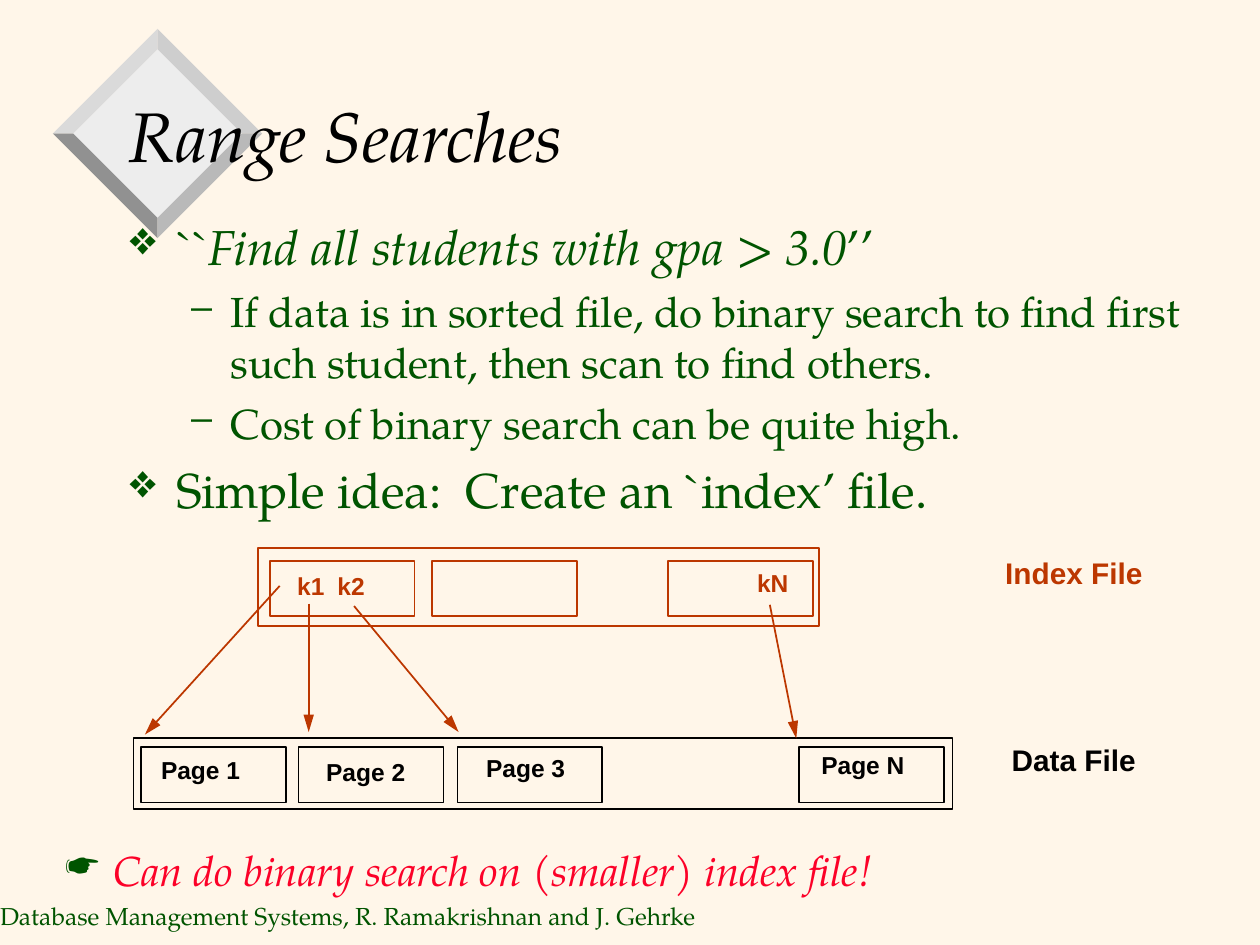
from dataclasses import dataclass

from lxml import etree
from pptx import Presentation
from pptx.dml.color import RGBColor
from pptx.enum.shapes import MSO_CONNECTOR, MSO_SHAPE
from pptx.enum.text import MSO_ANCHOR, PP_ALIGN
from pptx.oxml.ns import qn
from pptx.util import Inches, Pt

LEFT = PP_ALIGN.LEFT
MIDDLE = MSO_ANCHOR.MIDDLE
RECT = MSO_SHAPE.RECTANGLE
STRAIGHT = MSO_CONNECTOR.STRAIGHT


@dataclass(frozen=True)
class Theme:
    back: str = "FFF6E9"
    green: str = "005400"
    rust: str = "BC3700"
    red: str = "FC0128"
    black: str = "000000"
    face: str = "EDEDED"
    bevels: tuple = ("CECECE", "B9B9B9", "919191", "DADADA")
    serif: str = "TeX Gyre Pagella"
    sans: str = "Arial"
    title: int = 40
    main: int = 28
    sub: int = 24
    name: int = 17
    small: int = 14


THEME = Theme()


def rgb(code):
    return RGBColor.from_string(code)


def style(run, size, color, font=THEME.serif, bold=False, italic=False):
    run.font.size = Pt(size)
    run.font.name = font
    run.font.bold = bold
    run.font.italic = italic
    run.font.color.rgb = rgb(color)


def add_box(slide, x, y, w, h, wrap=False):
    box = slide.shapes.add_textbox(Inches(x), Inches(y), Inches(w), Inches(h))
    box.text_frame.word_wrap = wrap
    return box.text_frame


def add_label(slide, text, x, y, w, size, color):
    frame = add_box(slide, x, y, w, 0.33, wrap=True)
    frame.text = text
    style(frame.paragraphs[0].runs[0], size, color, THEME.sans, bold=True)


def add_bullet(para, char, margin, hang, scale=100):
    props = para._p.get_or_add_pPr()
    props.set("marL", str(Inches(margin)))
    props.set("indent", str(-Inches(hang)))
    color = etree.SubElement(props, qn("a:buClr"))
    etree.SubElement(color, qn("a:srgbClr"), val=THEME.green)
    etree.SubElement(props, qn("a:buSzPct"), val=str(scale * 1000))
    etree.SubElement(props, qn("a:buFont"), typeface=THEME.serif)
    etree.SubElement(props, qn("a:buChar"), char=char)


def add_frame(slide, x, y, w, h, color):
    box = slide.shapes.add_shape(RECT, Inches(x), Inches(y), Inches(w), Inches(h))
    box.shadow.inherit = False
    box.fill.background()
    box.line.color.rgb = rgb(color)
    box.line.width = Pt(1)


def add_arrow(slide, x1, y1, x2, y2):
    link = slide.shapes.add_connector(
        STRAIGHT, Inches(x1), Inches(y1), Inches(x2), Inches(y2))
    link.line.color.rgb = rgb(THEME.rust)
    link.line.width = Pt(1)
    etree.SubElement(link.line._get_or_add_ln(), qn("a:tailEnd"),
                     type="triangle", w="med", len="lg")
    etree.SubElement(link._element.spPr, qn("a:effectLst"))


def add_facet(slide, points, color):
    start, *rest = [(Inches(x), Inches(y)) for x, y in points]
    path = slide.shapes.build_freeform(*start)
    path.add_line_segments(rest, close=True)
    shape = path.convert_to_shape()
    shape.shadow.inherit = False
    shape.fill.solid()
    shape.fill.fore_color.rgb = rgb(color)
    shape.line.fill.background()


def add_gem(slide, x, y, outer, inner):
    def corners(r):
        return [(x, y - r), (x + r, y), (x, y + r), (x - r, y)]

    out, core = corners(outer), corners(inner)
    add_facet(slide, core, THEME.face)
    for i, color in enumerate(THEME.bevels):
        j = (i + 1) % 4
        add_facet(slide, [out[i], out[j], core[j], core[i]], color)


def add_title(slide, text):
    title = slide.shapes.title
    title.left, title.top = Inches(0.92), Inches(0.46)
    title.width, title.height = Inches(8.5), Inches(1.21)
    frame = title.text_frame
    frame.text = text
    frame.vertical_anchor = MIDDLE
    frame.paragraphs[0].alignment = LEFT
    style(frame.paragraphs[0].runs[0], THEME.title, THEME.black, italic=True)


def add_body(slide):
    # Each point: level, then pieces of text with an italic flag
    points = [
        (0, [("``", False), ("Find all students with gpa > 3.0", True), ("’’", False)]),
        (1, [("If data is in sorted file, do binary search to find first "
              "such student, then scan to find others.", False)]),
        (1, [("Cost of binary search can be quite high.", False)]),
        (0, [("Simple idea:  Create an `index’ file.", False)]),
    ]
    frame = add_box(slide, 0.92, 1.67, 8.67, 2.6, wrap=True)
    for i, (level, parts) in enumerate(points):
        para = frame.add_paragraph() if i else frame.paragraphs[0]
        para.level = level
        if level:
            add_bullet(para, "–", 0.81, 0.31)
        else:
            add_bullet(para, "❖", 0.38, 0.38, 75)
        if i:
            para.space_before = Pt(6 if level else 7)
        for text, italic in parts:
            run = para.add_run()
            run.text = text
            style(run, THEME.sub if level else THEME.main, THEME.green, italic=italic)


def add_index(slide):
    for x in (2.14, 3.43, 5.3):
        add_frame(slide, x, 4.45, 1.15, 0.44, THEME.rust)
    add_frame(slide, 2.05, 4.35, 4.45, 0.62, THEME.rust)
    for text, x, y in (("k1", 2.26, 4.48), ("k2", 2.58, 4.48), ("kN", 5.91, 4.46)):
        add_label(slide, text, x, y, 0.55, THEME.small, THEME.rust)
    add_label(slide, "Index File", 7.88, 4.35, 1.4, THEME.name, THEME.rust)


def add_data(slide):
    pages = [("Page 1", 1.12, 1.18, 5.94), ("Page 2", 2.37, 2.49, 5.96),
             ("Page 3", 3.63, 3.76, 5.93), ("Page N", 6.34, 6.42, 5.9)]
    for text, x, left, top in pages:
        add_frame(slide, x, 5.93, 1.15, 0.44, THEME.black)
        add_label(slide, text, left, top, 1, THEME.small, THEME.black)
    add_frame(slide, 1.06, 5.86, 6.5, 0.56, THEME.black)
    add_label(slide, "Data File", 7.93, 5.84, 1.3, THEME.name, THEME.black)


def add_close(slide):
    frame = add_box(slide, 0.42, 6.65, 7.38, 0.5, wrap=True)
    frame.text = "Can do binary search on (smaller) index file!"
    para = frame.paragraphs[0]
    add_bullet(para, "☛", 0.38, 0.38)
    style(para.runs[0], THEME.sub, THEME.red, italic=True)


def add_footer(slide):
    frame = add_box(slide, 0, 7.1, 5.92, 0.33)
    frame.margin_left = 0
    frame.vertical_anchor = MIDDLE
    frame.text = "Database Management Systems, R. Ramakrishnan and J. Gehrke"
    style(frame.paragraphs[0].runs[0], THEME.small, THEME.green)


def main():
    deck = Presentation()
    deck.slide_width, deck.slide_height = Inches(10), Inches(7.5)
    slide = deck.slides.add_slide(deck.slide_layouts[5])
    slide.background.fill.solid()
    slide.background.fill.fore_color.rgb = rgb(THEME.back)

    # Gem goes behind the title
    add_gem(slide, 1.25, 1.06, 0.83, 0.67)
    title = slide.shapes.title._element
    title.getparent().append(title)
    add_title(slide, "Range Searches")
    add_body(slide)

    # Index keys point to data pages
    add_data(slide)
    add_index(slide)
    for ends in ((2.22, 4.65, 1.15, 5.83), (2.45, 4.79, 2.45, 5.81),
                 (2.81, 4.81, 3.64, 5.81), (6.11, 4.8, 6.32, 5.86)):
        add_arrow(slide, *ends)

    # Closing remark and footer
    add_close(slide)
    add_footer(slide)
    deck.save("out.pptx")


if __name__ == "__main__":
    main()
